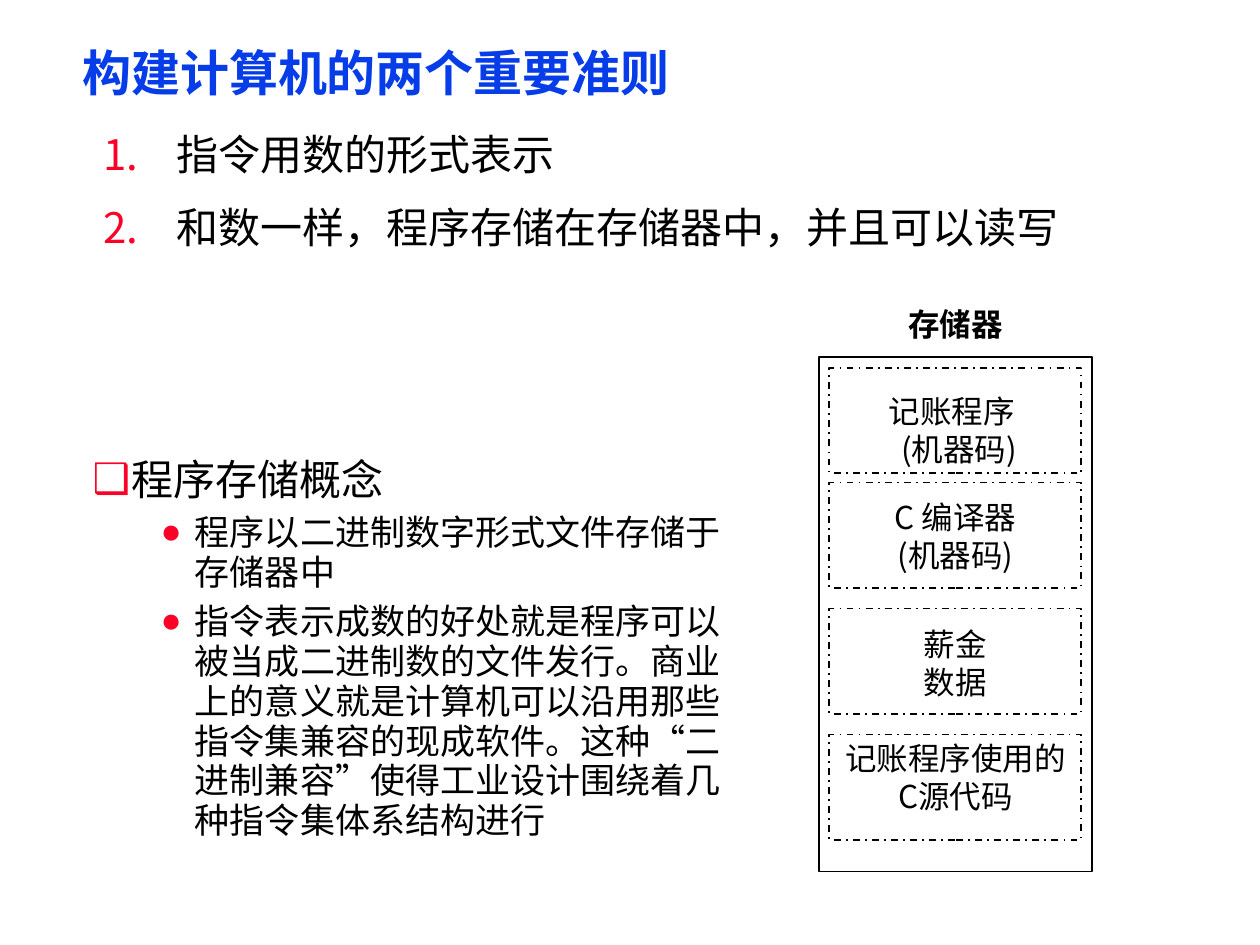
from dataclasses import dataclass

from lxml.etree import SubElement
from pptx import Presentation
from pptx.dml.color import RGBColor
from pptx.enum.dml import MSO_LINE
from pptx.enum.shapes import MSO_SHAPE
from pptx.enum.text import MSO_ANCHOR, MSO_AUTO_SIZE, PP_ALIGN
from pptx.oxml.ns import qn
from pptx.util import Cm, Pt


@dataclass(frozen=True)
class Theme:
    blue: RGBColor = RGBColor(0x06, 0x3D, 0xE8)
    black: RGBColor = RGBColor(0, 0, 0)
    bullet_color: str = "FC0128"
    bullet_size: str = "75%"
    font: str = "Noto Sans CJK SC"
    latin_font: str = "Arial"
    title: int = 28
    heading: int = 24
    detail: int = 20
    label: int = 18


@dataclass(frozen=True)
class ListStyle:
    size: int
    line: float
    before: float
    level: int
    margin: float
    hanging: float
    symbol: str = ""  # empty means automatic numbers


THEME = Theme()
NUMBERED = ListStyle(THEME.heading, 28, 13.7, 1, 1.47, 1.47)
HEADING = ListStyle(THEME.heading, 28, 0, 0, 0.79, 0.79, "❑")
DETAIL = ListStyle(THEME.detail, 22.8, 5, 1, 2.06, 0.69, "●")

CONCEPT = [
    (HEADING, "程序存储概念"),
    (DETAIL, "程序以二进制数字形式文件存储于存储器中"),
    (DETAIL, "指令表示成数的好处就是程序可以被当成二进制数的文件发行。"
             "商业上的意义就是计算机可以沿用那些指令集兼容的现成软件。"
             "这种“二进制兼容”使得工业设计围绕着几种指令集体系结构进行"),
]

# region top, text top, text lines
MEMORY_REGIONS = [
    (7.42, 7.82, ["记账程序 ", " (机器码)"]),
    (9.73, 9.96, ["C 编译器", "(机器码)"]),
    (12.27, 12.52, ["薪金", "数据"]),
    (14.81, 14.81, ["记账程序使用的C源代码"]),
]


class SlideBuilder:
    def __init__(self, page, theme):
        self.page = page
        self.theme = theme

    def place(self, box, left, top, width, height):
        box.left, box.top = Cm(left), Cm(top)
        box.width, box.height = Cm(width), Cm(height)

    def prepare(self, box):
        frame = box.text_frame
        frame.word_wrap = True
        frame.auto_size = MSO_AUTO_SIZE.NONE
        frame.vertical_anchor = MSO_ANCHOR.TOP
        frame.margin_left = frame.margin_right = Cm(0.18)
        frame.margin_top = frame.margin_bottom = Cm(0.08)
        return frame

    def paragraph(self, frame, index):
        return frame.add_paragraph() if index else frame.paragraphs[0]

    def add_span(self, para, text, size, color, bold=False, font=None):
        span = para.add_run()
        span.text = text
        span.font.size = Pt(size)
        span.font.bold = bold
        span.font.color.rgb = color
        span.font.name = font or self.theme.font
        east_asian = SubElement(span._r.get_or_add_rPr(), qn("a:ea"))
        east_asian.set("typeface", self.theme.font)

    def bullet(self, para, style):
        properties = para._p.get_or_add_pPr()
        properties.set("marL", str(Cm(style.margin)))
        properties.set("indent", str(-Cm(style.hanging)))
        color = SubElement(properties, qn("a:buClr"))
        SubElement(color, qn("a:srgbClr")).set("val", self.theme.bullet_color)
        SubElement(properties, qn("a:buSzPct")).set("val", self.theme.bullet_size)
        if style.symbol:
            font = SubElement(properties, qn("a:buFont"))
            font.set("typeface", self.theme.latin_font)
            SubElement(properties, qn("a:buChar")).set("char", style.symbol)
        else:
            number = SubElement(properties, qn("a:buAutoNum"))
            number.set("type", "arabicPeriod")

    def title(self, text, *area):
        box = self.page.shapes.title
        self.place(box, *area)
        para = self.prepare(box).paragraphs[0]
        para.alignment = PP_ALIGN.LEFT
        para.line_spacing = Pt(31.5)
        self.add_span(para, text, self.theme.title, self.theme.blue, bold=True)

    def fill_list(self, box, items):
        frame = self.prepare(box)
        for index, (style, text) in enumerate(items):
            para = self.paragraph(frame, index)
            para.level = style.level
            para.alignment = PP_ALIGN.LEFT
            self.bullet(para, style)
            para.line_spacing = Pt(style.line)
            para.space_before = Pt(style.before if index else 0)
            self.add_span(para, text, style.size, self.theme.black)

    def body(self, items, *area):
        box = self.page.placeholders[1]
        self.place(box, *area)
        self.fill_list(box, items)

    def text_list(self, items, *area):
        box = self.page.shapes.add_textbox(*map(Cm, area))
        self.fill_list(box, items)

    def label(self, group, lines, *area, bold=False, font=None):
        frame = self.prepare(group.shapes.add_textbox(*map(Cm, area)))
        for index, line in enumerate(lines):
            para = self.paragraph(frame, index)
            para.alignment = PP_ALIGN.CENTER
            para.line_spacing = Pt(21.7)
            self.add_span(para, line, self.theme.label, self.theme.black, bold, font)

    def outline(self, group, *area, dash=None):
        box = group.shapes.add_shape(MSO_SHAPE.RECTANGLE, *map(Cm, area))
        box.shadow.inherit = False
        box.fill.background()
        box.line.color.rgb = self.theme.black
        box.line.width = Pt(1)
        if dash:
            box.line.dash_style = dash

    def memory(self):
        left, width = 16.72, 5.08
        group = self.page.shapes.add_group_shape()
        self.outline(group, 16.51, 7.2, 5.5, 10.37)
        self.label(group, ["存储器"], left, 6.07, width, 0.91,
                   bold=True, font=self.theme.latin_font)
        for region_top, text_top, lines in MEMORY_REGIONS:
            self.outline(group, left, region_top, width, 2.12,
                         dash=MSO_LINE.DASH_DOT)
            self.label(group, lines, left, text_top, width, 1.68)


def main():
    deck = Presentation()
    deck.slide_width, deck.slide_height = Cm(25.4), Cm(19.05)
    page = deck.slides.add_slide(deck.slide_layouts[1])
    builder = SlideBuilder(page, THEME)
    builder.title("构建计算机的两个重要准则", 1.48, 0.85, 22.65, 1.17)
    builder.body([(NUMBERED, "指令用数的形式表示"),
                  (NUMBERED, "和数一样，程序存储在存储器中，并且可以读写")],
                 1.9, 2.54, 21.8, 2.67)
    builder.text_list(CONCEPT, 1.69, 9.1, 13.55, 8.05)
    builder.memory()
    deck.save("out.pptx")


if __name__ == "__main__":
    main()
